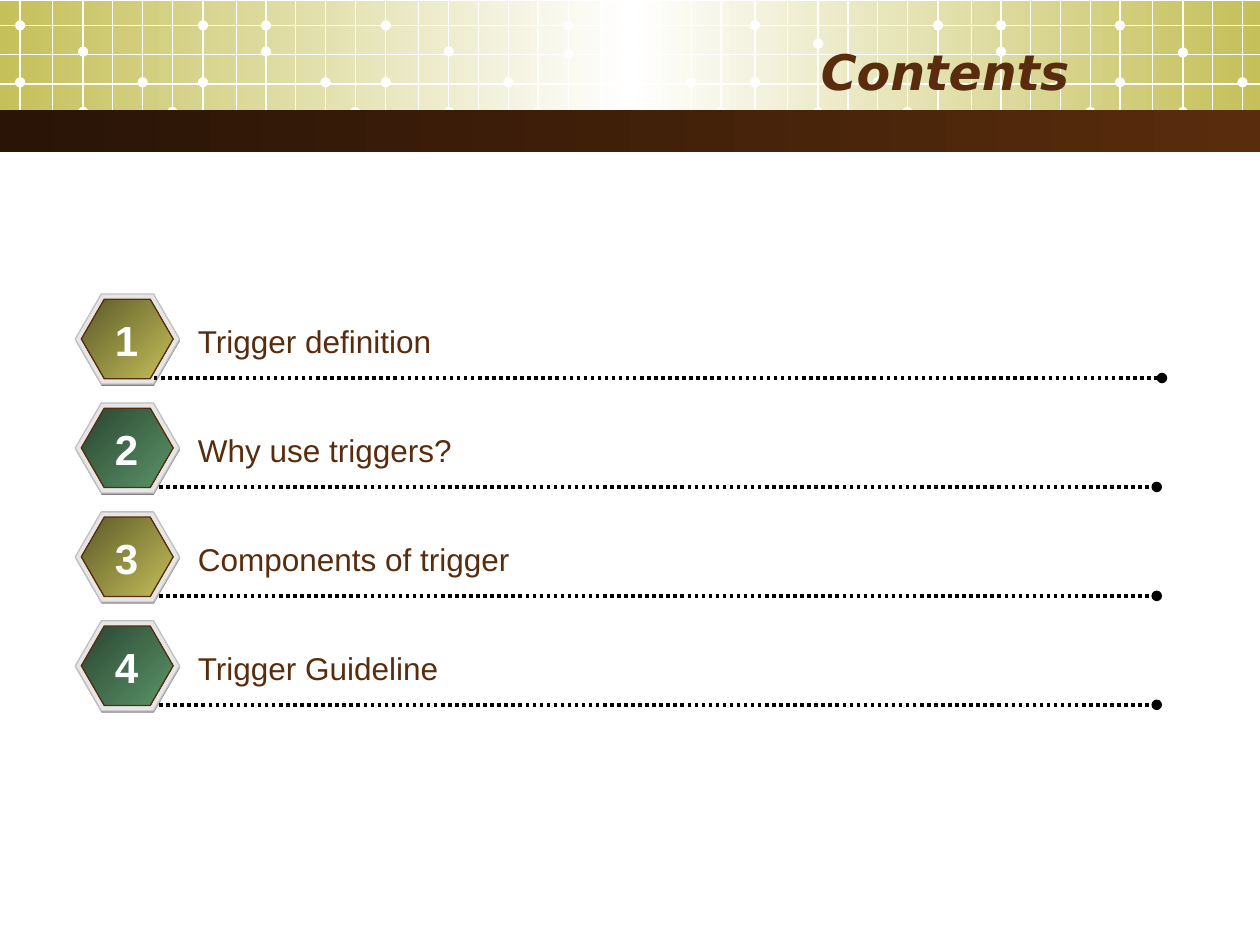
"""Builds a contents slide with a gridded banner and four numbered hexagon entries."""
from lxml.etree import SubElement
from pptx import Presentation
from pptx.dml.color import RGBColor
from pptx.enum.dml import MSO_LINE
from pptx.enum.shapes import MSO_CONNECTOR, MSO_SHAPE
from pptx.enum.text import MSO_ANCHOR, PP_ALIGN
from pptx.oxml.ns import qn
from pptx.util import Pt

WHITE = RGBColor(0xFF, 0xFF, 0xFF)
BLACK = RGBColor(0x00, 0x00, 0x00)
BROWN = RGBColor(0x59, 0x2C, 0x0D)
DARK_BROWN = RGBColor(0x29, 0x14, 0x06)
OLIVE = RGBColor(0xC5, 0xC0, 0x59)
DARK_OLIVE = RGBColor(0x5B, 0x59, 0x29)
GREEN = RGBColor(0x5B, 0x95, 0x69)
DARK_GREEN = RGBColor(0x2A, 0x45, 0x31)
SHADE = RGBColor(0x80, 0x80, 0x80)
RIM = RGBColor(0xE6, 0xE6, 0xE6)
RIM_EDGE = RGBColor(0xC0, 0xC0, 0xC0)

WIDTH, HEIGHT = 720, 540
HAIRLINE = 0.74
DOT = 5.8
COLUMNS = [0, 18.5, 36, 53, 70, 87, 104.5, 123.5, 140.5, 157.5, 174.5, 191.5]
GRID_ROWS = [14.5, 31, 48, 64]
TILES = [(11.5, 29.5, 47), (220.5, 29.5, 31), (431.5, 25, 36.5), (640, 30, 47)]
ENTRIES = [("Trigger definition", 382), ("Why use triggers?", 464),
           ("Components of trigger", 550), ("Trigger Guideline", 560)]
FIRST_TOP, PITCH = 168, 62.25


class Page:
    """Holds the text style and the current slide, and draws its elements."""

    def __init__(self, slide, font="Arial"):
        self.shapes = slide.shapes
        self.font = font

    def shape(self, kind, left, top, width, height, colors, edge=None):
        """Adds a shape with a flat or gradient fill."""
        shape = self.shapes.add_shape(kind, Pt(left), Pt(top), Pt(width), Pt(height))
        shape.shadow.inherit = False
        if len(colors) == 1:
            shape.fill.solid()
            shape.fill.fore_color.rgb = colors[0]
        else:
            self.gradient(shape, colors, 315 if kind == MSO_SHAPE.HEXAGON else 0)
        if kind == MSO_SHAPE.HEXAGON:
            shape.adjustments[0] = 0.289
        if edge is None:
            shape.line.fill.background()
        else:
            shape.line.color.rgb = edge
            shape.line.width = Pt(HAIRLINE)
        return shape

    def gradient(self, shape, colors, angle):
        """Fills a shape with evenly spaced gradient stops."""
        shape.fill.gradient()
        shape.fill.gradient_angle = angle
        stops = shape._element.spPr.find(".//" + qn("a:gsLst"))
        for stop in list(stops):
            stops.remove(stop)
        for index, color in enumerate(colors):
            position = 100000 * index // (len(colors) - 1)
            stop = SubElement(stops, qn("a:gs"), pos=str(position))
            SubElement(stop, qn("a:srgbClr"), val=str(color))

    def line(self, start, end, color=WHITE, width=HAIRLINE):
        """Adds a straight line."""
        line = self.shapes.add_connector(
            MSO_CONNECTOR.STRAIGHT, *[Pt(value) for value in (*start, *end)])
        line.line.color.rgb = color
        line.line.width = Pt(width)
        SubElement(line._element.spPr, qn("a:effectLst"))
        return line

    def leader(self, start, end):
        """Adds a dotted line that ends in a round head."""
        line = self.line(start, end, BLACK, 2)
        line.line.dash_style = MSO_LINE.ROUND_DOT
        SubElement(line.line._get_or_add_ln(), qn("a:tailEnd"), type="oval")

    def text(self, words, left, top, width, height, size, color=BROWN,
             align=PP_ALIGN.LEFT, wrap=True, bold=False, italic=False, font=None):
        """Adds a one-paragraph text box."""
        box = self.shapes.add_textbox(Pt(left), Pt(top), Pt(width), Pt(height))
        frame = box.text_frame
        frame.word_wrap = wrap
        frame.vertical_anchor = MSO_ANCHOR.MIDDLE
        para = frame.paragraphs[0]
        para.text = words
        para.alignment = align
        para.font.name = font or self.font
        para.font.size = Pt(size)
        para.font.bold = bold
        para.font.italic = italic
        para.font.color.rgb = color

    def tile(self, start, third_row, seventh_row):
        """Adds one repeat of the banner grid with its dots."""
        for column in COLUMNS:
            if start + column < WIDTH:
                self.line((start + column, 0.5), (start + column, 79.5))
        dots = [(0, 47), (0, 14.5), (2, third_row), (2, 64), (4, 47), (5, 64),
                (6, seventh_row), (6, 14.5), (8, 29.5), (8, 14.5), (10, 47), (11, 64)]
        for column, middle in dots:
            center = start + COLUMNS[column]
            if center < WIDTH:
                self.shape(MSO_SHAPE.OVAL, center - DOT / 2, middle - DOT / 2,
                           DOT, DOT, [WHITE])

    def entry(self, index, words, width):
        """Adds a numbered hexagon with its label and leader line."""
        top = FIRST_TOP + index * PITCH
        colors = [DARK_GREEN, GREEN] if index % 2 else [DARK_OLIVE, OLIVE]
        inset = 0 if index == 0 else 3
        self.shape(MSO_SHAPE.HEXAGON, 43.2, top + 1, 59.6, 51.5, [SHADE])
        self.shape(MSO_SHAPE.HEXAGON, 43, top, 59.6, 51.5, [RIM], RIM_EDGE)
        self.shape(MSO_SHAPE.HEXAGON, 46.5, top + 3, 52.5, 45.4, colors, BROWN)
        self.leader((88 + inset, top + 48), (664 - inset, top + 48))
        self.text(words, 106, top + 12.2, width, 29, 18)
        self.text(str(index + 1), 58.5, top + 8, 27.4, 36, 24, WHITE,
                  PP_ALIGN.CENTER, wrap=False, bold=True)


deck = Presentation()
deck.slide_width, deck.slide_height = Pt(WIDTH), Pt(HEIGHT)
page = Page(deck.slides.add_slide(deck.slide_layouts[6]))

page.shape(MSO_SHAPE.RECTANGLE, 0, 0.5, WIDTH, 73.5, [OLIVE, WHITE, OLIVE])
for tile in TILES:
    page.tile(*tile)
for row in GRID_ROWS:
    page.line((0, row), (WIDTH, row))
page.shape(MSO_SHAPE.RECTANGLE, 0, 63, WIDTH, 24, [DARK_BROWN, BROWN])
page.text("Contents", 36, 18, 582, 45, 28, align=PP_ALIGN.RIGHT,
          bold=True, italic=True, font="DejaVu Sans")
for index, (words, width) in enumerate(ENTRIES):
    page.entry(index, words, width)

deck.save("out.pptx")
